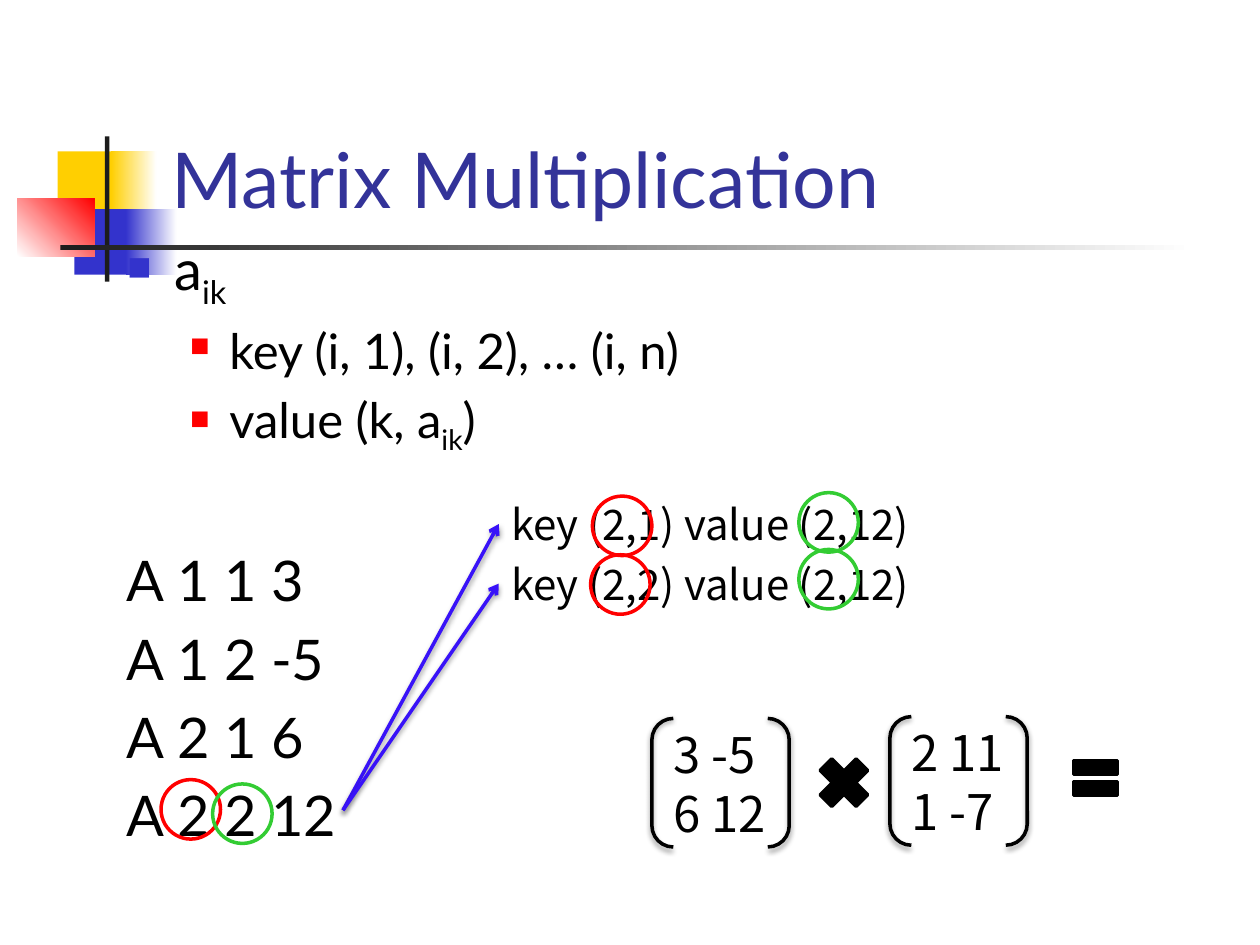
from typing import NamedTuple, Optional

import pptx
import pptx.dml.color
import pptx.enum.shapes
import pptx.enum.text
import pptx.oxml
import pptx.oxml.ns
import pptx.util
from pptx.dml.color import RGBColor
from pptx.enum.shapes import MSO_SHAPE
from pptx.util import Pt

BLACK = RGBColor(0x00, 0x00, 0x00)
WHITE = RGBColor(0xFF, 0xFF, 0xFF)
CHARCOAL = RGBColor(0x1C, 0x1C, 0x1C)
YELLOW = RGBColor(0xFF, 0xCF, 0x01)
BLUE = RGBColor(0x33, 0x33, 0xCC)
RED = RGBColor(0xFF, 0x00, 0x00)
GREEN = RGBColor(0x33, 0xCC, 0x33)
TITLE_BLUE = RGBColor(0x33, 0x33, 0x99)
ARROW_BLUE = RGBColor(0x38, 0x12, 0xF8)

HEADING_FONT = "Lato"
MATRIX_FONT = "Noto Sans CJK KR"
LINE_WIDTH = 2
CIRCLE_SIZE = 34
SHADOW = (
    '<a:outerShdw %s blurRad="40000" dist="20000" dir="5400000" rotWithShape="0">'
    '<a:srgbClr val="000000"><a:alpha val="38000"/></a:srgbClr></a:outerShdw>'
    % pptx.oxml.ns.nsdecls("a")
)


class Box(NamedTuple):
    left: float
    top: float
    width: float
    height: float


class Bar(NamedTuple):
    """A decorative rectangle, a gradient when it has an end colour."""
    box: Box
    start: RGBColor
    end: Optional[RGBColor] = None
    angle: float = 0


class Bullet(NamedTuple):
    color: RGBColor
    percent: int


class Line(NamedTuple):
    """A body line; every second text is a subscript."""
    texts: tuple[str, ...]
    size: float = 32
    margin: float = 27
    indent: float = -27
    space_before: float = 6.4
    bullet: Optional[Bullet] = None


class Circle(NamedTuple):
    left: float
    top: float
    color: RGBColor


class Matrix(NamedTuple):
    left: float
    top: float
    rows: tuple[str, ...]


BARS = (
    Bar(Box(33, 86.5, 34.5, 37.5), YELLOW),
    Bar(Box(63.5, 86.5, 26, 37.5), YELLOW, WHITE),
    Bar(Box(42.5, 119.5, 33, 37.5), BLUE),
    Bar(Box(72, 119.5, 29, 37.5), BLUE, WHITE),
    Bar(Box(10, 113.5, 44, 33), WHITE, RED, 45),
    Bar(Box(60, 78, 2.5, 83), CHARCOAL),
    Bar(Box(34.5, 140.25, 648, 2.5), CHARCOAL, WHITE),
)
SUB_BULLET = Bullet(RED, 55)
BODY_LINES = (
    Line(("a", "ik"), space_before=0, bullet=Bullet(BLUE, 60)),
    Line(("key (i, 1), (i, 2), … (i, n)",), 28, 58.5, -22.5, 5.6, SUB_BULLET),
    Line(("value (k, a", "ik", ")"), 28, 58.5, -22.5, 5.6, SUB_BULLET),
    Line(("A 1 1 3",), space_before=51.2),
    Line(("A 1 2 -5",)),
    Line(("A 2 1 6",)),
    Line(("A 2 2 12",)),
)
MATRICES = (
    Matrix(372.5, 410.5, ("3 -5", "6 12")),
    Matrix(508.5, 409.5, ("2 11", "1 -7")),
)
OPERATORS = (
    (MSO_SHAPE.MATH_MULTIPLY, Box(462.5, 427.5, 39.5, 39.5)),
    (MSO_SHAPE.MATH_EQUAL, Box(609, 427.5, 34, 34)),
)
PAIRS = ("key (2,1) value (2,12)", "key (2,2) value (2,12)")
PAIR_LEFT, PAIR_TOP, PAIR_PITCH = 285, 281.5, 34
ARROW_START = (196, 463)
CIRCLES = (
    Circle(92, 445.5, RED),
    Circle(338.5, 283.5, RED),
    Circle(337.5, 317, RED),
    Circle(121.5, 448, GREEN),
    Circle(456.5, 281.5, GREEN),
    Circle(456.5, 314, GREEN),
)


def points(box: Box) -> list[pptx.util.Length]:
    return [Pt(value) for value in box]


def add_shape(slide, kind, box: Box, line_color: Optional[RGBColor] = None):
    """Add an unfilled, shadowless shape, outlined if a colour is given."""
    shape = slide.shapes.add_shape(kind, *points(box))
    shape.shadow.inherit = False
    shape.fill.background()
    if line_color is None:
        shape.line.fill.background()
    else:
        shape.line.color.rgb = line_color
        shape.line.width = Pt(LINE_WIDTH)
    return shape


def add_bar(slide, bar: Bar) -> None:
    fill = add_shape(slide, MSO_SHAPE.RECTANGLE, bar.box).fill
    if bar.end is None:
        fill.solid()
        fill.fore_color.rgb = bar.start
        return
    fill.gradient()
    fill.gradient_angle = bar.angle
    for stop, color in zip(fill.gradient_stops, (bar.start, bar.end)):
        stop.color.rgb = color


def add_run(paragraph, text: str, font_name: str, size: float,
            color: RGBColor = BLACK, subscript: bool = False) -> None:
    run = paragraph.add_run()
    run.text = text
    run.font.name = font_name
    run.font.size = Pt(size)
    run.font.color.rgb = color
    if subscript:
        run._r.get_or_add_rPr().set("baseline", "-25000")


def add_text_box(slide, box: Box, wrap: bool = True):
    text_frame = slide.shapes.add_textbox(*points(box)).text_frame
    text_frame.word_wrap = wrap
    return text_frame


def next_paragraph(text_frame, index: int):
    return text_frame.add_paragraph() if index else text_frame.paragraphs[0]


def add_bullet(properties, bullet: Optional[Bullet]) -> None:
    namespace = pptx.oxml.ns.nsdecls("a")
    if bullet is None:
        elements = (f"<a:buNone {namespace}/>",)
    else:
        elements = (
            f'<a:buClr {namespace}><a:srgbClr val="{bullet.color}"/></a:buClr>',
            f'<a:buSzPct {namespace} val="{bullet.percent * 1000}"/>',
            f'<a:buChar {namespace} char="■"/>',
        )
    for element in elements:
        properties.append(pptx.oxml.parse_xml(element))


def add_body(slide) -> None:
    text_frame = add_text_box(slide, Box(65.5, 130.3, 612, 371.5))
    for index, line in enumerate(BODY_LINES):
        paragraph = next_paragraph(text_frame, index)
        properties = paragraph._p.get_or_add_pPr()
        properties.set("marL", str(Pt(line.margin)))
        properties.set("indent", str(Pt(line.indent)))
        add_bullet(properties, line.bullet)
        paragraph.space_before = Pt(line.space_before)
        for position, text in enumerate(line.texts):
            add_run(paragraph, text, HEADING_FONT, line.size, subscript=position % 2 == 1)


def add_unwrapped_text(slide, box: Box, rows: tuple[str, ...], size: float) -> None:
    text_frame = add_text_box(slide, box, wrap=False)
    text_frame.auto_size = pptx.enum.text.MSO_AUTO_SIZE.SHAPE_TO_FIT_TEXT
    for index, row in enumerate(rows):
        add_run(next_paragraph(text_frame, index), row, MATRIX_FONT, size)


def add_shadow(properties) -> None:
    effects = properties.find(pptx.oxml.ns.qn("a:effectLst"))
    if effects is None:
        effects = pptx.oxml.parse_xml("<a:effectLst %s/>" % pptx.oxml.ns.nsdecls("a"))
        properties.append(effects)
    effects.append(pptx.oxml.parse_xml(SHADOW))


def add_matrix(slide, matrix: Matrix) -> None:
    add_unwrapped_text(slide, Box(matrix.left + 5, matrix.top, 70, 75), matrix.rows, 28)
    bracket = add_shape(slide, MSO_SHAPE.DOUBLE_BRACKET,
                        Box(matrix.left, matrix.top, 78.5, 73.5), BLACK)
    add_shadow(bracket._element.spPr)


def add_arrow(slide, end_x: float, end_y: float) -> None:
    connector = slide.shapes.add_connector(
        pptx.enum.shapes.MSO_CONNECTOR.STRAIGHT,
        *(Pt(value) for value in (*ARROW_START, end_x, end_y)))
    connector.line.color.rgb = ARROW_BLUE
    connector.line.width = Pt(LINE_WIDTH)
    properties = connector._element.spPr
    properties.find(pptx.oxml.ns.qn("a:ln")).append(pptx.oxml.parse_xml(
        '<a:tailEnd %s type="arrow"/>' % pptx.oxml.ns.nsdecls("a")))
    add_shadow(properties)


def main() -> None:
    presentation = pptx.Presentation()
    presentation.slide_width, presentation.slide_height = Pt(720), Pt(540)
    slide = presentation.slides.add_slide(presentation.slide_layouts[6])

    for bar in BARS:
        add_bar(slide, bar)
    title = add_text_box(slide, Box(90.7, 16.5, 613.5, 115))
    title.vertical_anchor = pptx.enum.text.MSO_ANCHOR.BOTTOM
    add_run(title.paragraphs[0], "Matrix Multiplication", HEADING_FONT, 44, TITLE_BLUE)
    add_body(slide)

    for kind, box in OPERATORS:
        operator = add_shape(slide, kind, box, BLACK)
        operator.fill.solid()
        operator.fill.fore_color.rgb = BLACK
    for matrix in MATRICES:
        add_matrix(slide, matrix)
    for index, pair in enumerate(PAIRS):
        top = PAIR_TOP + index * PAIR_PITCH
        add_unwrapped_text(slide, Box(PAIR_LEFT, top, 258, 36), (pair,), 24)
        add_arrow(slide, PAIR_LEFT, top + 18)
    for circle in CIRCLES:
        add_shape(slide, MSO_SHAPE.OVAL,
                  Box(circle.left, circle.top, CIRCLE_SIZE, CIRCLE_SIZE), circle.color)

    presentation.save("out.pptx")


if __name__ == "__main__":
    main()
